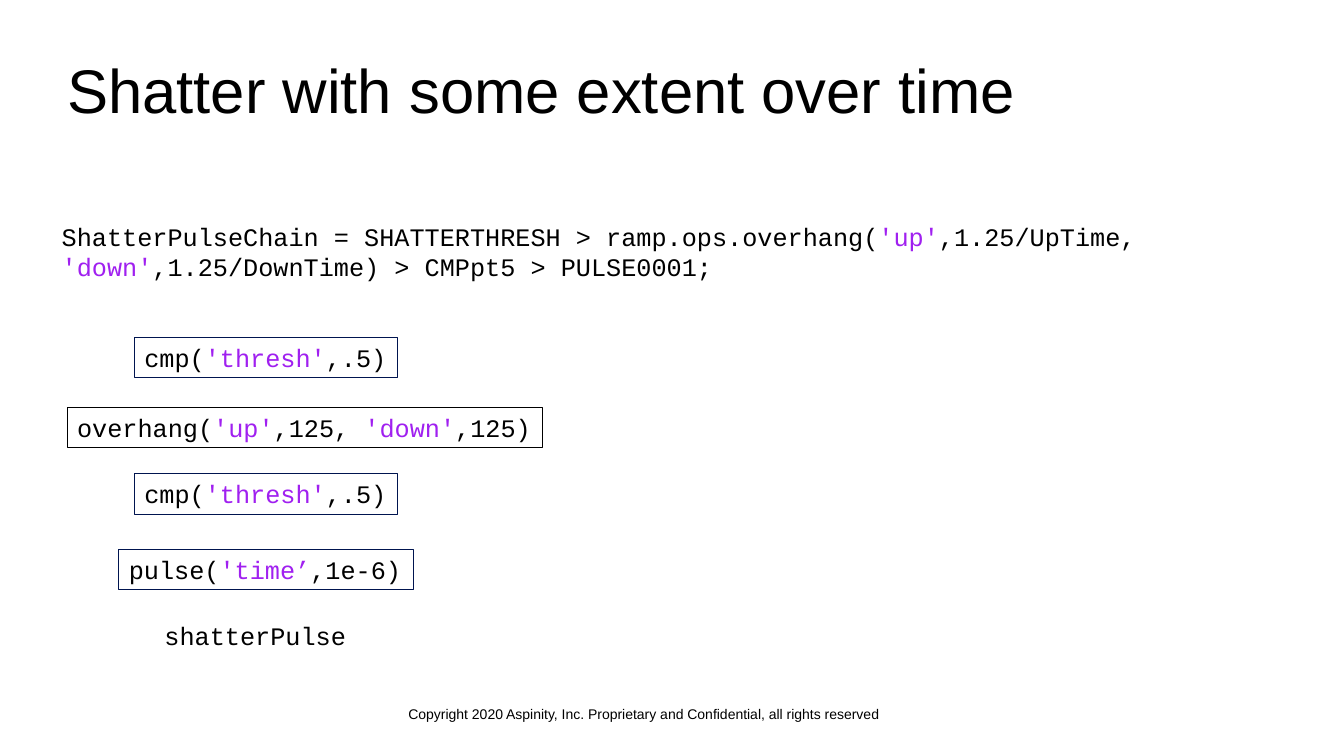
import dataclasses

import pptx
import pptx.dml.color
import pptx.enum.text
import pptx.util


@dataclasses.dataclass(frozen=True)
class Theme:
    text: str = "000000"
    literal: str = "A020F0"
    navy: str = "00144F"
    background: str = "FFFFFF"
    sans: str = "Arial"
    mono: str = "Courier New"
    title_size: int = 44
    code_size: int = 18
    footer_size: int = 10
    border_width: float = 0.75


THEME = Theme()
WIDTH = pptx.util.Inches(13.33)
HEIGHT = pptx.util.Inches(7.5)
COLUMN = WIDTH / 20
ROW = HEIGHT / 20
LINE_ROWS = 1.07

STAGES = [
    ("cmp(|'thresh'|,.5)", 2, 8.93, 3.92, THEME.navy),
    ("overhang(|'up'|,125, |'down'|,125)", 1, 10.77, 7.08, THEME.text),
    ("cmp(|'thresh'|,.5)", 2, 12.53, 3.92, THEME.navy),
    ("pulse(|'time’|,1e-6)", 1.77, 14.53, 4.38, THEME.navy),
]


def rgb(value):
    return pptx.dml.color.RGBColor.from_string(value)


def add_text(page, text, column, row, columns, rows=LINE_ROWS, *, font=THEME.mono,
             size=THEME.code_size, border=None, wrap=True, middle=False,
             inset=True, line_spacing=None):
    box = page.shapes.add_textbox(
        round(column * COLUMN), round(row * ROW),
        round(columns * COLUMN), round(rows * ROW),
    )
    if border:
        box.line.color.rgb = rgb(border)
        box.line.width = pptx.util.Pt(THEME.border_width)
    frame = box.text_frame
    frame.word_wrap = wrap
    if middle:
        frame.vertical_anchor = pptx.enum.text.MSO_ANCHOR.MIDDLE
    if not inset:
        frame.margin_left = frame.margin_right = 0
        frame.margin_top = frame.margin_bottom = 0
    para = frame.paragraphs[0]
    para.alignment = pptx.enum.text.PP_ALIGN.LEFT
    if line_spacing:
        para.line_spacing = line_spacing
    for index, part in enumerate(text.split("|")):
        span = para.add_run()
        span.text = part
        span.font.name = font
        span.font.size = pptx.util.Pt(size)
        span.font.color.rgb = rgb(THEME.literal if index % 2 else THEME.text)
    return box


def add_stage(page, code, column, row, columns, border):
    add_text(page, code, column, row, columns, border=border, wrap=False)


def main():
    deck = pptx.Presentation()
    deck.slide_width = WIDTH
    deck.slide_height = HEIGHT
    page = deck.slides.add_slide(deck.slide_layouts[6])
    page.background.fill.solid()
    page.background.fill.fore_color.rgb = rgb(THEME.background)

    add_text(page, "Shatter with some extent over time", 1, 0.8, 18, 3.33,
             font=THEME.sans, size=THEME.title_size, middle=True,
             inset=False, line_spacing=0.9)
    add_text(page, "Copyright 2020 Aspinity, Inc. Proprietary and Confidential, "
             "all rights reserved", 5.93, 18.53, 8.16,
             font=THEME.sans, size=THEME.footer_size)
    add_text(page, "ShatterPulseChain = SHATTERTHRESH > ramp.ops.overhang(|'up'|"
             ",1.25/UpTime, |'down'|,1.25/DownTime) > CMPpt5 > PULSE0001;",
             0.77, 5.73, 18, 1.89)
    for stage in STAGES:
        add_stage(page, *stage)
    add_text(page, "shatterPulse", 2.3, 16.29, 3.33)

    deck.save("out.pptx")


if __name__ == "__main__":
    main()
